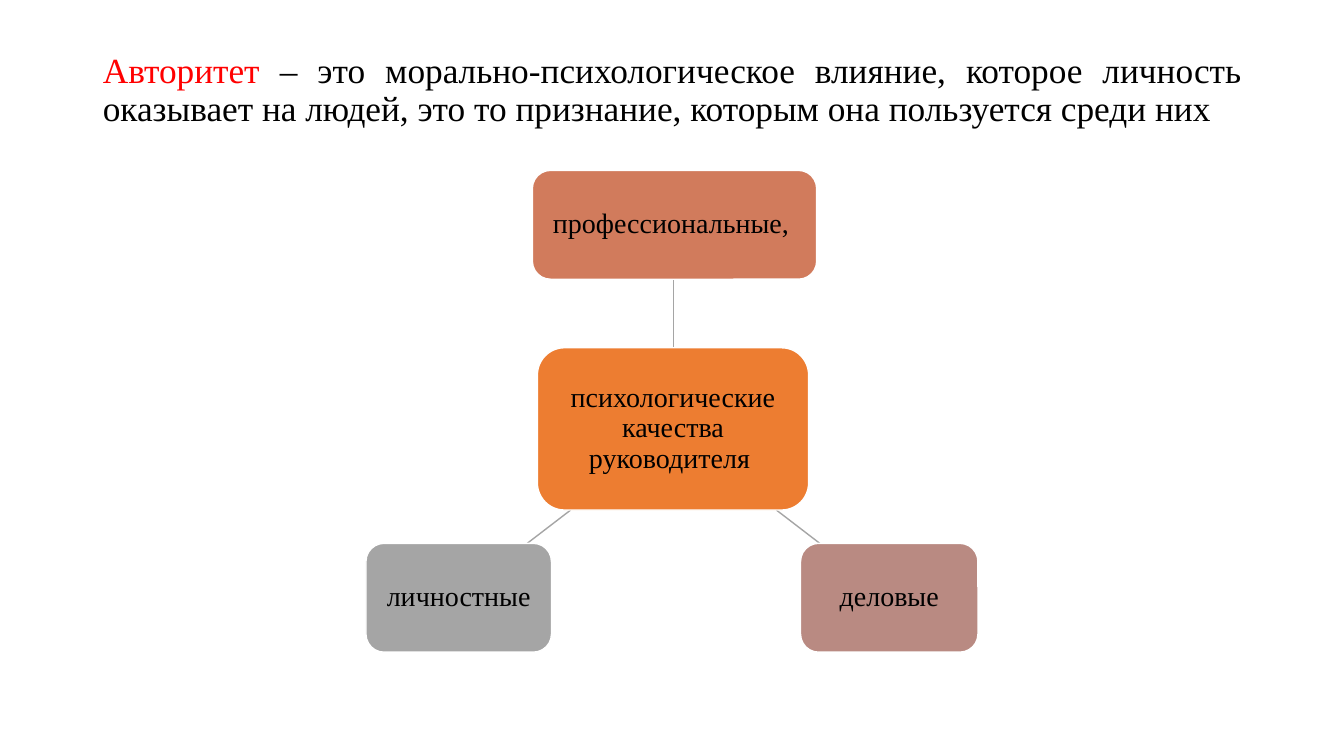
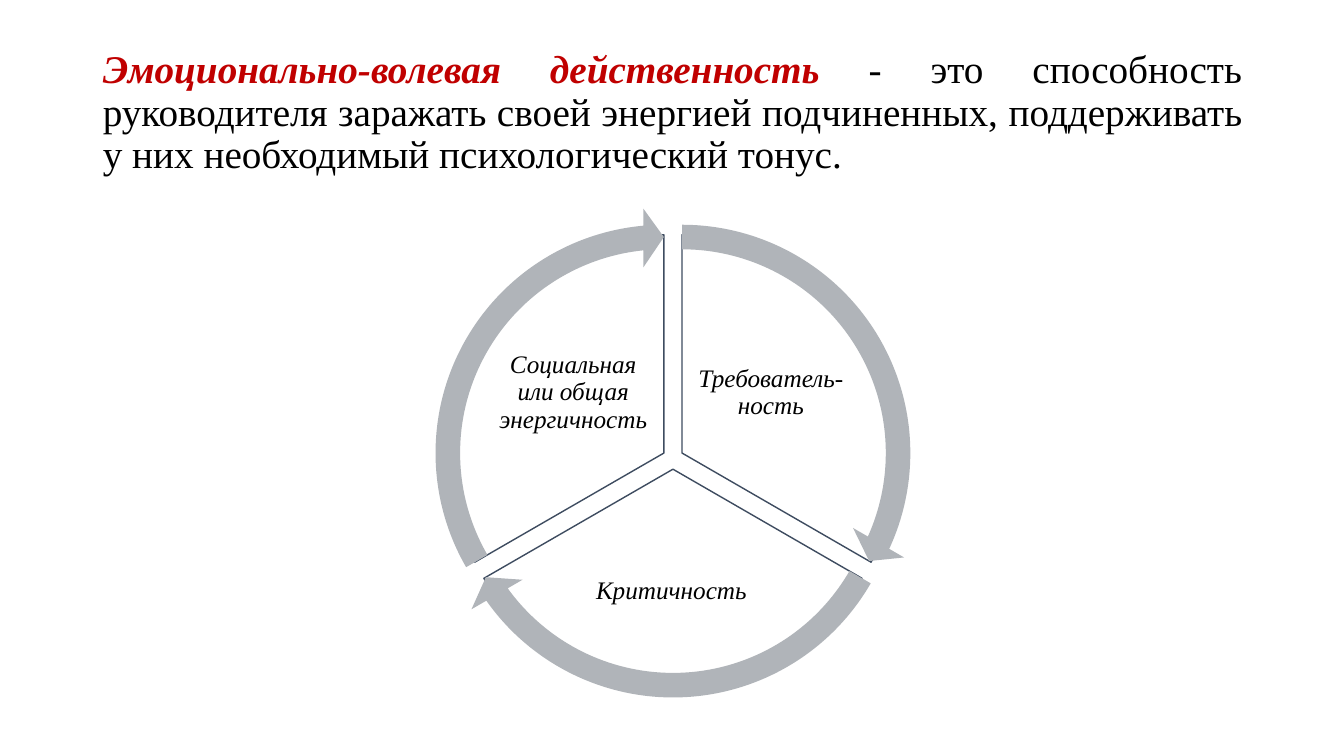
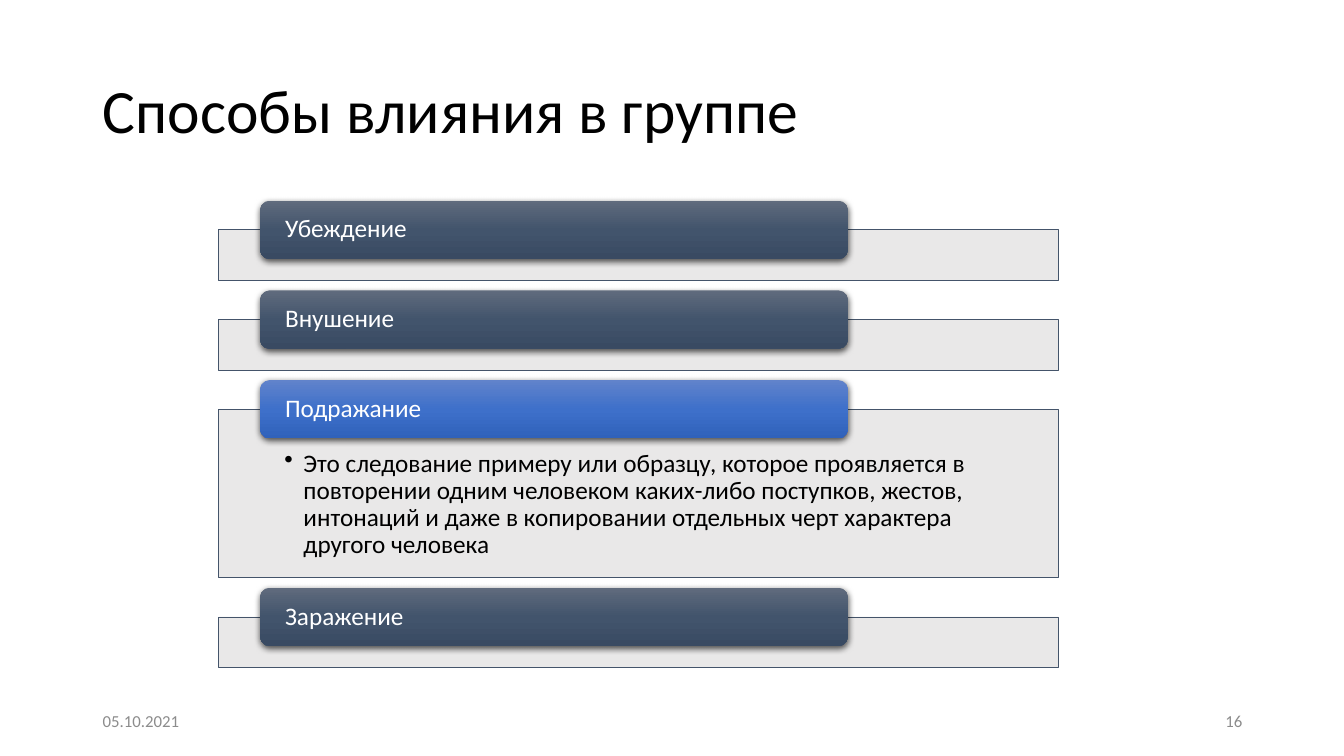
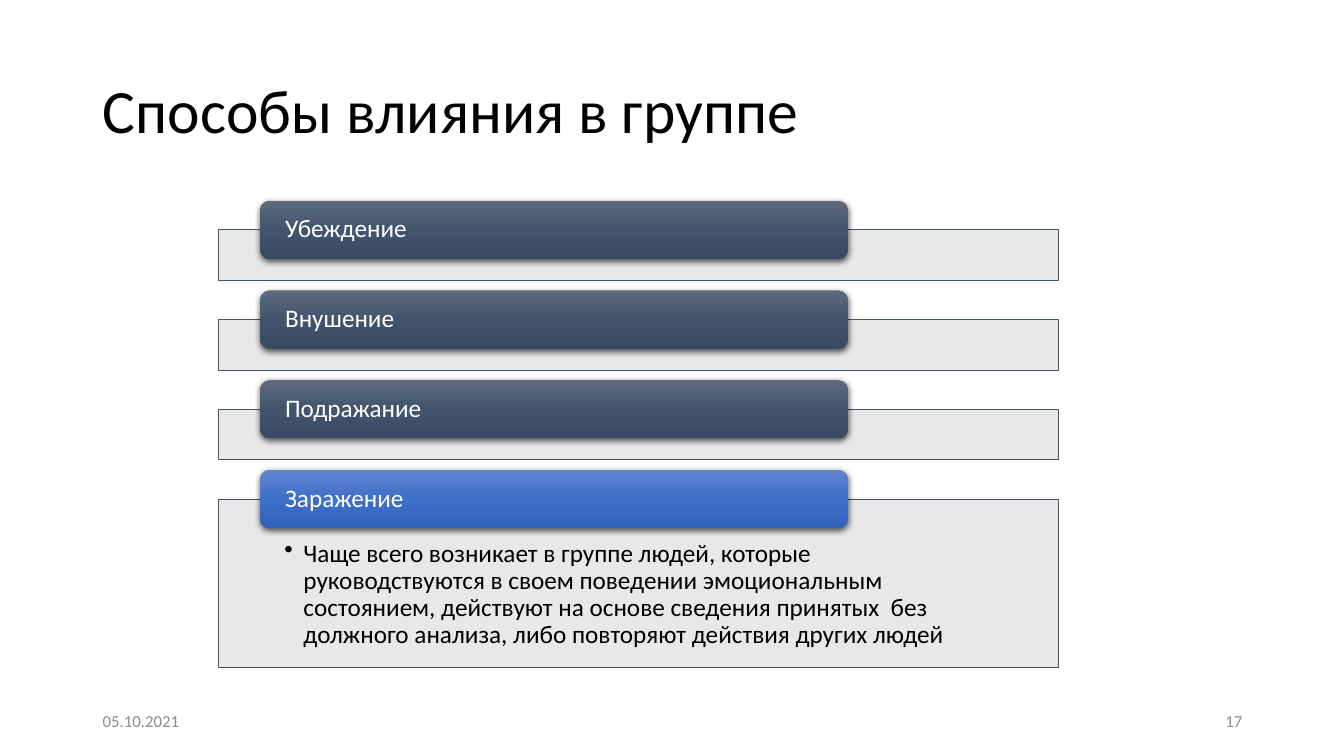
from lxml import etree
from pptx import Presentation
from pptx.dml.color import RGBColor
from pptx.enum.shapes import MSO_CONNECTOR, MSO_SHAPE
from pptx.enum.text import MSO_ANCHOR, MSO_AUTO_SIZE, PP_ALIGN
from pptx.oxml import parse_xml
from pptx.oxml.ns import nsdecls, qn
from pptx.util import Pt

PX = 9144  # EMU per px, 100 px to the inch
LEFT, CENTER, RIGHT, JUSTIFY = PP_ALIGN.LEFT, PP_ALIGN.CENTER, PP_ALIGN.RIGHT, PP_ALIGN.JUSTIFY
TOP, MIDDLE = MSO_ANCHOR.TOP, MSO_ANCHOR.MIDDLE
RECT, ROUNDED = MSO_SHAPE.RECTANGLE, MSO_SHAPE.ROUNDED_RECTANGLE
PIE, ARC_ARROW = MSO_SHAPE.PIE, MSO_SHAPE.CIRCULAR_ARROW
STRAIGHT = MSO_CONNECTOR.STRAIGHT
NO_AUTOFIT = MSO_AUTO_SIZE.NONE

SERIF, SANS = "Times New Roman", "Calibri"
COLORS = {
    "white": "FFFFFF", "black": "000000", "red": "FF0000", "dark red": "C00000",
    "orange": "ED7D31", "terracotta": "D17B5C", "rose": "B98A82", "gray": "A5A5A5",
    "pie line": "3E4C60", "arc": "B0B4B9",
    "panel": "E7E6E6", "panel line": "44546A", "footer": "8C8C8C",
}
GRADIENTS = {
    "closed": ("606B7D", "42546C", "394A62"),
    "open": ("6183CB", "3E70CA", "3062BB"),
}

# Content: runs are (text, style)
AUTHORITY_TITLE = [
    ("Авторитет", {"color": "red"}),
    (" – это морально-психологическое влияние, которое личность оказывает на людей, "
     "это то признание, которым она пользуется среди них", {}),
]
QUALITIES = [  # text, fill, box
    ("психологические качества руководителя ", "orange", (533, 345, 269, 161)),
    ("профессиональные, ", "terracotta", (528, 169, 282, 108)),
    ("деловые", "rose", (794, 539, 176, 108)),
    ("личностные", "gray", (363, 539, 184, 108)),
]
QUALITY_LINKS = [(668, 345, 668, 277), (770, 506, 813, 539), (566, 506, 523, 539)]

ENERGY_TITLE = [
    ("Эмоционально-волевая действенность", {"color": "dark red", "bold": True, "italic": True}),
    (" - это способность руководителя заражать своей энергией подчиненных, "
     "поддерживать у них необходимый психологический тонус. ", {}),
]
SECTORS = [  # text, text box, centre of the sector's circle
    ("Требователь-ность", (687, 325, 155, 129), (676, 449)),
    ("Критичность ", (553, 530, 232, 113), (667, 465)),
    ("Социальная или общая энергичность ", (491, 325, 155, 129), (658, 449)),
]
PIE_SIZE, ARC_SIZE = 433, 487

INFLUENCE_TITLE = [("Способы влияния в группе", {})]
METHODS = ["Убеждение", "Внушение", "Подражание", "Заражение"]
DATE = "05.10.2021"
INFLUENCE_SLIDES = [  # open method, its description, slide number
    ("Подражание",
     "Это следование примеру или образцу, которое проявляется в повторении одним человеком "
     "каких-либо поступков, жестов, интонаций и даже в копировании отдельных черт характера "
     "другого человека", "16"),
    ("Заражение",
     "Чаще всего возникает в группе людей, которые руководствуются в своем поведении "
     "эмоциональным состоянием, действуют на основе сведения принятых  без должного анализа, "
     "либо повторяют действия других людей", "17"),
]


def rgb(name):
    return RGBColor.from_string(COLORS[name])


def emu(box):
    return [value * PX for value in box]


def write(shape, runs, size, font, align=CENTER, anchor=MIDDLE, insets=(10, 5, 10, 5),
          color="black", spacing=0.9):
    """Fill a shape with one paragraph of styled runs."""
    frame = shape.text_frame
    frame.word_wrap = True
    frame.auto_size = NO_AUTOFIT
    frame.vertical_anchor = anchor
    (frame.margin_left, frame.margin_top,
     frame.margin_right, frame.margin_bottom) = emu(insets)
    paragraph = frame.paragraphs[0]
    paragraph.alignment = align
    paragraph.line_spacing = spacing
    for text, style in runs:
        run = paragraph.add_run()
        run.text = text
        run.font.name, run.font.size = font, Pt(size)
        run.font.bold = style.get("bold", False)
        run.font.italic = style.get("italic", False)
        run.font.color.rgb = rgb(style.get("color", color))
    return paragraph


def add_label(slide, box, runs, size, font, **options):
    write(slide.shapes.add_textbox(*emu(box)), runs, size, font, **options)


def add_block(slide, kind, box, fill=None, line=None, width=1.0, adjustments=()):
    shape = slide.shapes.add_shape(kind, *emu(box))
    shape.shadow.inherit = False
    for index, value in enumerate(adjustments):
        shape.adjustments[index] = value
    if fill:
        shape.fill.solid()
        shape.fill.fore_color.rgb = rgb(fill)
    if line:
        shape.line.color.rgb = rgb(line)
        shape.line.width = Pt(width)
    else:
        shape.line.fill.background()
    return shape


def add_titled_slide(deck, runs, size, font, align, height=145):
    slide = deck.slides.add_slide(deck.slide_layouts[5])
    title = slide.shapes.title
    title.left, title.top, title.width, title.height = emu((92, 40, 1150, height))
    write(title, runs, size, font, align)
    return slide


def add_link(slide, ends):
    link = slide.shapes.add_connector(STRAIGHT, *emu(ends))
    link.line.color.rgb = rgb("gray")
    link.line.width = Pt(1)
    etree.SubElement(link._element.spPr, qn("a:effectLst"))


def add_method_header(slide, box, text, state):
    header = add_block(slide, ROUNDED, box)
    stops = "".join(f'<a:gs pos="{index * 50000}"><a:srgbClr val="{color}"/></a:gs>'
                    for index, color in enumerate(GRADIENTS[state]))
    properties = header._element.spPr
    properties.find(qn("a:prstGeom")).addnext(parse_xml(
        f'<a:gradFill {nsdecls("a")}><a:gsLst>{stops}</a:gsLst>'
        '<a:lin ang="5400000" scaled="0"/></a:gradFill>'))
    properties.find(qn("a:effectLst")).append(parse_xml(
        f'<a:outerShdw {nsdecls("a")} blurRad="{Pt(4.5)}" dist="{Pt(1.5)}" dir="5400000" '
        'algn="ctr" rotWithShape="0"><a:srgbClr val="000000"><a:alpha val="63000"/>'
        '</a:srgbClr></a:outerShdw>'))
    write(header, [(text, {})], 18, SANS, LEFT, insets=(22, 0, 22, 0), color="white")


def add_method_panel(slide, box, description):
    panel = add_block(slide, RECT, box, "panel", "panel line", 0.5)
    fill_color = panel._element.spPr.find(qn("a:solidFill")).find(qn("a:srgbClr"))
    etree.SubElement(fill_color, qn("a:alpha")).set("val", "90000")
    if description:
        paragraph = write(panel, [(description, {})], 18, SANS, LEFT, TOP, (65, 41, 65, 14))
        settings = paragraph._p.get_or_add_pPr()
        settings.set("marL", str(19 * PX))
        settings.set("indent", str(-19 * PX))
        etree.SubElement(settings, qn("a:buChar")).set("char", "•")


def build_authority(deck):
    slide = add_titled_slide(deck, AUTHORITY_TITLE, 25.2, SERIF, JUSTIFY, height=101)
    for ends in QUALITY_LINKS:
        add_link(slide, ends)
    for text, fill, box in QUALITIES:
        quality = add_block(slide, ROUNDED, box, fill, "white")
        write(quality, [(text, {})], 20, SERIF, insets=(6, 6, 6, 6))


def build_energy(deck):
    slide = add_titled_slide(deck, ENERGY_TITLE, 28, SERIF, JUSTIFY)

    def circle_box(centre, size):
        return centre[0] - size // 2, centre[1] - size // 2, size, size

    # Adjustment angles: 216 is a full turn, 72 a third
    for index, (text, text_box, centre) in enumerate(SECTORS):
        start, end = (162 + 72 * index) % 216, 18 + 72 * index
        add_block(slide, PIE, circle_box(centre, PIE_SIZE), "white", "pie line",
                  adjustments=(start, end))
        add_label(slide, text_box, [(text, {"italic": True})], 18, SERIF, insets=(3, 3, 3, 3))
    for index, (_, _, centre) in enumerate(SECTORS):
        start, end = (162 + 72 * index) % 216, 14.72 + 72 * index
        add_block(slide, ARC_ARROW, circle_box(centre, ARC_SIZE), "arc",
                  adjustments=(0.05, 3.28, end, start, 0.06))


def build_influence(deck, open_method, description, number):
    slide = add_titled_slide(deck, INFLUENCE_TITLE, 44, SANS, LEFT)
    top = 228
    for method in METHODS:
        is_open = method == open_method
        height = 167 if is_open else 50
        add_method_panel(slide, (217, top, 833, height), description if is_open else None)
        add_method_header(slide, (258, top - 29, 583, 58), method,
                          "open" if is_open else "closed")
        top += height + 39
    for left, text, align in ((92, DATE, LEFT), (942, number, RIGHT)):
        add_label(slide, (left, 695, 300, 40), [(text, {})], 12, SANS, align=align,
                  color="footer", spacing=1.0)


def main():
    deck = Presentation()
    deck.slide_width, deck.slide_height = emu((1333, 750))
    build_authority(deck)
    build_energy(deck)
    for open_method, description, number in INFLUENCE_SLIDES:
        build_influence(deck, open_method, description, number)
    deck.save("out.pptx")


if __name__ == "__main__":
    main()
